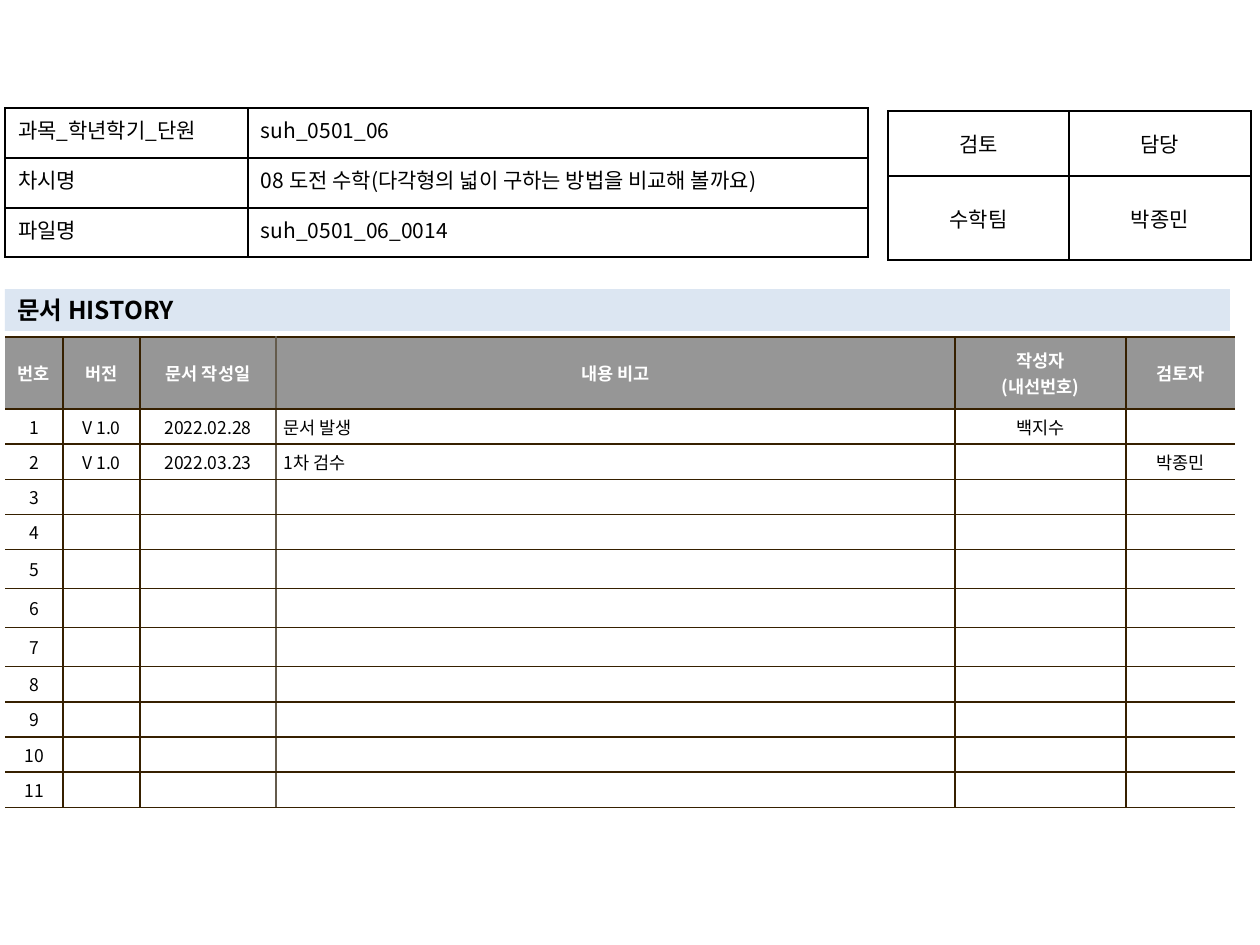
from dataclasses import dataclass

from lxml.etree import SubElement
from pptx import Presentation
from pptx.dml.color import RGBColor
from pptx.enum.shapes import MSO_SHAPE
from pptx.enum.text import MSO_ANCHOR, PP_ALIGN
from pptx.oxml.ns import qn
from pptx.util import Pt

SCALE = 914400 / 126
FONT = "Noto Sans CJK KR"
HUES = {
    "ink": "000000",
    "paper": "FFFFFF",
    "head": "969696",
    "band": "DCE6F2",
    "rule": "362000",
    "soft": "645B4C",
}
LEFT, MID, JUST = PP_ALIGN.LEFT, PP_ALIGN.CENTER, PP_ALIGN.JUSTIFY


@dataclass
class Grid:
    left: int
    top: int
    cols: list[int]
    rows: list[int]
    data: list[list[str]]
    aligns: list[PP_ALIGN]
    size: int = 12
    anchor: MSO_ANCHOR = MSO_ANCHOR.MIDDLE
    pad: tuple[int, int] = (13, 6)
    rule: str = "ink"
    log: bool = False


def px(n: int) -> int:
    return round(n * SCALE)


def hue(name: str) -> RGBColor:
    return RGBColor.from_string(HUES[name])


def write(frame, text: str, *, size: int, color: str = "ink",
          bold: bool = False, align: PP_ALIGN = LEFT, hang: int = 0) -> None:
    for i, line in enumerate(text.split("\n")):
        para = frame.add_paragraph() if i else frame.paragraphs[0]
        para.alignment = align
        if hang:
            props = para._p.get_or_add_pPr()
            props.set("marL", str(px(hang)))
            props.set("indent", str(-px(hang)))
        if not line:
            para._p.get_or_add_endParaRPr().set("sz", str(size * 100))
            continue
        run = para.add_run()
        run.text = line
        font = run.font
        font.size, font.bold, font.name = Pt(size), bold, FONT
        font.color.rgb = hue(color)
        SubElement(run._r.get_or_add_rPr(), qn("a:ea"), typeface=FONT)


def edge(cell, side: str, color: str | None) -> None:
    line = SubElement(cell._tc.get_or_add_tcPr(), qn(f"a:ln{side}"), w=str(Pt(1)))
    if color is None:
        SubElement(line, qn("a:noFill"))
    else:
        fill = SubElement(line, qn("a:solidFill"))
        SubElement(fill, qn("a:srgbClr"), val=HUES[color])


def draw(slide, grid: Grid) -> None:
    table = slide.shapes.add_table(
        len(grid.rows), len(grid.cols), px(grid.left), px(grid.top),
        px(sum(grid.cols)), px(sum(grid.rows))).table
    table.first_row = table.horz_banding = False
    for col, wide in zip(table.columns, grid.cols):
        col.width = px(wide)
    last = len(grid.cols) - 1
    for r, (tall, texts) in enumerate(zip(grid.rows, grid.data)):
        table.rows[r].height = px(tall)
        for c, text in enumerate(texts):
            cell = table.cell(r, c)
            cell.margin_left = cell.margin_right = px(grid.pad[0])
            cell.margin_top = cell.margin_bottom = px(grid.pad[1])
            cell.vertical_anchor = grid.anchor
            sides = dict.fromkeys("LRTB", grid.rule)
            head = grid.log and r == 0
            if grid.log:
                if c == 0:
                    sides["L"] = None
                if c == last:
                    sides["R"] = None
                if c == 2:
                    sides["R"] = "soft"
                if c == 3:
                    sides["L"] = "soft"
            for side, color in sides.items():
                edge(cell, side, color)
            if grid.log:
                cell.fill.solid()
                cell.fill.fore_color.rgb = hue("head" if head else "paper")
            else:
                cell.fill.background()
            align = MID if head else grid.aligns[c]
            write(cell.text_frame, text, size=grid.size, bold=head, align=align,
                  color="paper" if head else "ink",
                  hang=24 if grid.log and align == LEFT else 0)


def title(slide, text: str) -> None:
    bar = slide.shapes.add_shape(
        MSO_SHAPE.RECTANGLE, px(5), px(289), px(1225), px(42))
    bar.shadow.inherit = False
    bar.fill.solid()
    bar.fill.fore_color.rgb = hue("band")
    bar.line.fill.background()
    frame = bar.text_frame
    frame.word_wrap = True
    frame.vertical_anchor = MSO_ANCHOR.MIDDLE
    write(frame, text, size=14, bold=True)


def main() -> None:
    deck = Presentation()
    deck.slide_width, deck.slide_height = px(1260), px(945)
    slide = deck.slides.add_slide(deck.slide_layouts[6])

    log = [
        ["번호", "버전", "문서 작성일", "내용 비고", "작성자\n(내선번호)", "검토자"],
        ["1", "V 1.0", "2022.02.28", "문서 발생", "백지수", ""],
        ["2", "V 1.0", "2022.03.23", "1차 검수", "", "박종민"],
    ]
    log += [[str(n)] + [""] * 5 for n in range(3, 12)]
    info = [
        ["과목_학년학기_단원", "suh_0501_06"],
        ["차시명", "08 도전 수학(다각형의 넓이 구하는 방법을 비교해 볼까요)"],
        ["파일명", "suh_0501_06_0014"],
    ]
    sign = [["검토", "담당"], ["수학팀", "박종민"]]

    draw(slide, Grid(5, 337, [58, 77, 136, 679, 171, 109],
                     [72] + [35] * 4 + [39] * 3 + [35] * 4, log,
                     [MID, MID, MID, LEFT, MID, MID], size=10, pad=(8, 5),
                     rule="rule", log=True))
    draw(slide, Grid(888, 111, [181, 182], [65, 84], sign, [MID, MID]))
    title(slide, "문서 HISTORY")
    draw(slide, Grid(5, 108, [243, 620], [50, 50, 49], info, [JUST, LEFT],
                     anchor=MSO_ANCHOR.TOP))
    deck.save("out.pptx")


if __name__ == "__main__":
    main()
